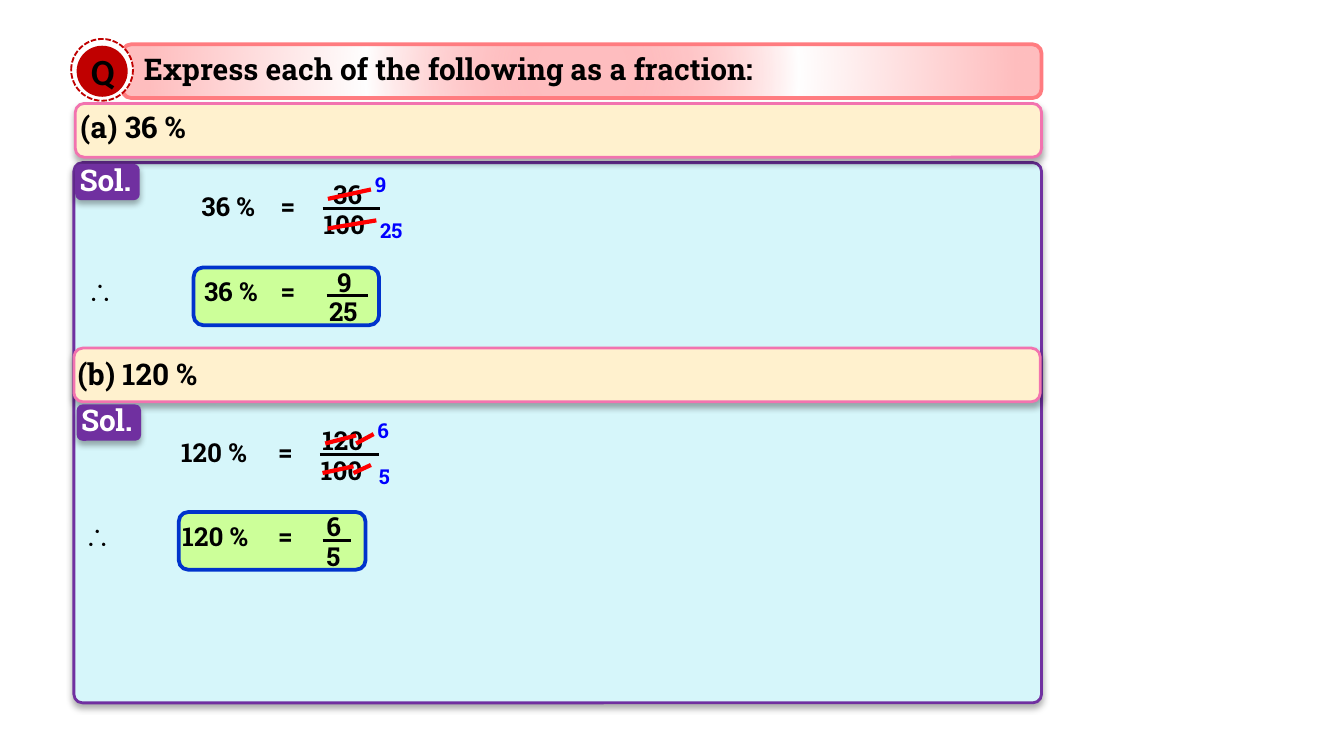
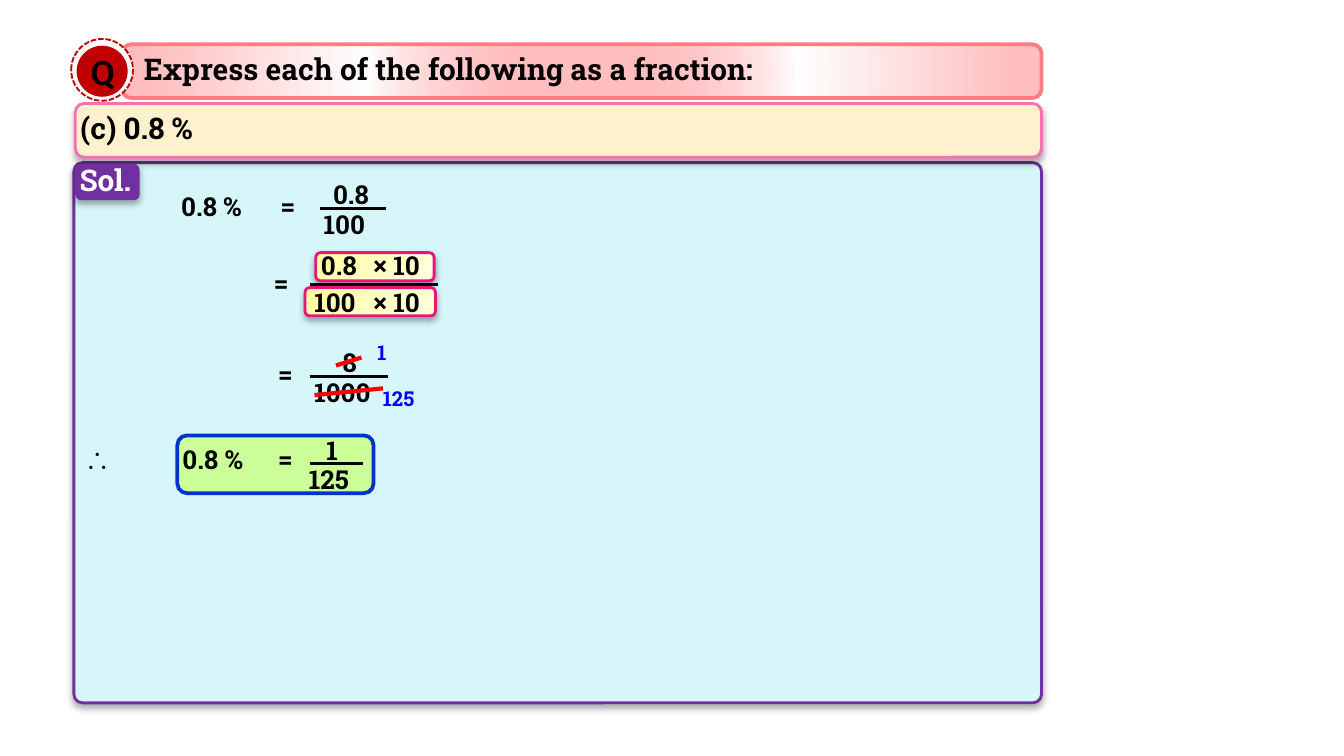
import pptx
import pptx.dml.color
import pptx.enum.dml
import pptx.enum.shapes
import pptx.enum.text
import pptx.oxml
import pptx.util

SHAPES = pptx.enum.shapes.MSO_SHAPE
ALIGN = pptx.enum.text.PP_ALIGN
ANCHOR = pptx.enum.text.MSO_ANCHOR
DRAWING_NS = 'xmlns:a="http://schemas.openxmlformats.org/drawingml/2006/main"'

SLIDE_WIDTH = 10
SLIDE_HEIGHT = SLIDE_WIDTH * 9 / 16

FONT, SYMBOL_FONT = "Roboto Slab", "Arial"
BLACK, WHITE, RED, BLUE = "000000", "FFFFFF", "FF0000", "0000FF"
PURPLE, CRIMSON, CORAL = "7030A0", "C00000", "FF7C80"
PANEL, CREAM, PINK, MAGENTA = "D6F6FA", "FFF1CE", "F273AF", "EA157A"
GREEN, ROYAL = "CCFF99", "0033CC"

# Gradient stops: position, colour, opacity (all in percent)
TITLE_STOPS = [(10, CORAL, 50), (47, WHITE, 100), (94, "FFBEBF", 100)]
TITLE_DIRECTION = ('<a:path path="circle"><a:fillToRect l="50000" t="50000" '
                   'r="50000" b="50000"/></a:path>')
FACTOR_STOPS = [(0, "FFFF9A", 100), (50, "FFFFC2", 100), (100, "FFFFE1", 100)]
FACTOR_DIRECTION = '<a:lin ang="2700000" scaled="0"/>'

TITLE = "Express each of the following as a fraction:"

# Each step hangs on the height of its fraction bar, "y".
# Texts are (text, left); strikes are (x1, y1, x2, y2); boxes are (left, width).
SLIDES = [
    [
        dict(label=("(a) 36 %", 0.5, 0.76), strip=(0.56, 0.77), badge=(0.56, 1.22), steps=[
            dict(y=1.55, bar=(2.4, 2.83), equals=1.99, value=("36 %", 1.4),
                 top=[("36", 2.38)], bottom=[("100", 2.31)],
                 reduced=[("9", 2.69), ("25", 2.73)],
                 strikes=[(2.44, 1.48, 2.76, 1.41), (2.44, 1.7, 2.8, 1.64)]),
            dict(y=2.2, bar=(2.43, 2.74), equals=1.99, value=("36 %", 1.42),
                 top=[("9", 2.41)], bottom=[("25", 2.35)],
                 answer=(1.44, 1.38), therefore=0.55),
        ]),
        dict(label=("(b) 120 %", 0.48, 2.6), strip=(0.55, 2.59), badge=(0.57, 3.01), steps=[
            dict(y=3.38, bar=(2.38, 2.82), equals=1.97, value=("120 %", 1.25),
                 top=[("120", 2.3)], bottom=[("100", 2.29)],
                 reduced=[("6", 2.71), ("5", 2.72)],
                 strikes=[(2.4, 3.52, 2.63, 3.47), (2.42, 3.3, 2.65, 3.24),
                          (2.63, 3.52, 2.76, 3.46), (2.65, 3.3, 2.78, 3.23)]),
            dict(y=4.02, bar=(2.4, 2.61), equals=1.97, value=("120 %", 1.26),
                 top=[("6", 2.33)], bottom=[("5", 2.33)],
                 answer=(1.33, 1.39), therefore=0.53),
        ]),
    ],
    [
        dict(label=("(c) 0.8 %", 0.5, 0.77), strip=(0.56, 0.77), badge=(0.56, 1.22), steps=[
            dict(y=1.55, bar=(2.38, 2.87), equals=1.99, value=("0.8 %", 1.25),
                 top=[("0.8", 2.38)], bottom=[("100", 2.31)]),
            dict(y=2.12, bar=(2.31, 3.26), equals=1.94,
                 top=[("0.8", 2.29), ("× 10", 2.68)],
                 bottom=[("100", 2.24), ("× 10", 2.68)],
                 factors=[(2.35, 0.88), (2.27, 0.97)]),
            dict(y=2.8, bar=(2.31, 2.89), equals=1.97,
                 top=[("8", 2.45)], bottom=[("1000", 2.24)],
                 reduced=[("1", 2.71), ("125", 2.75)],
                 strikes=[(2.34, 2.94, 2.85, 2.89), (2.5, 2.72, 2.69, 2.66)]),
            dict(y=3.45, bar=(2.31, 2.7), equals=1.97, value=("0.8 %", 1.26),
                 top=[("1", 2.33)], bottom=[("125", 2.2)],
                 answer=(1.32, 1.46), therefore=0.53),
        ]),
    ],
]


def inches(*lengths):
    return [pptx.util.Inches(length) for length in lengths]


def rgb(colour):
    return pptx.dml.color.RGBColor.from_string(colour)


def write(shape, text, size=14, font=FONT, colour=BLACK, align=ALIGN.LEFT,
          anchor=ANCHOR.TOP, wrap=True):
    frame = shape.text_frame
    frame.auto_size = pptx.enum.text.MSO_AUTO_SIZE.NONE
    frame.word_wrap = wrap
    frame.vertical_anchor = anchor
    paragraph = frame.paragraphs[0]
    paragraph.text = text
    paragraph.alignment = align
    paragraph.font.name = font
    paragraph.font.size = pptx.util.Pt(size)
    paragraph.font.bold = True
    paragraph.font.color.rgb = rgb(colour)


def add_text(slide, text, left, top, size=14, **text_format):
    """Add a text box just large enough for one line of the given size."""
    width = 0.22 + 0.0094 * size * len(text)
    height = 0.1 + 0.017 * size
    box = slide.shapes.add_textbox(*inches(left, top, width, height))
    write(box, text, size=size, **text_format)


def add_box(slide, left, top, width, height, fill=None, line=None, weight=1.5,
            kind=SHAPES.ROUNDED_RECTANGLE, shadow=False):
    shape = slide.shapes.add_shape(kind, *inches(left, top, width, height))
    shape.shadow.inherit = False
    if fill:
        shape.fill.solid()
        shape.fill.fore_color.rgb = rgb(fill)
    else:
        shape.fill.background()
    if line:
        shape.line.color.rgb = rgb(line)
        shape.line.width = pptx.util.Pt(weight)
    else:
        shape.line.fill.background()
    if shadow:
        effects = shape.element.spPr.find(pptx.oxml.ns.qn("a:effectLst"))
        effects.append(pptx.oxml.parse_xml(
            f'<a:outerShdw {DRAWING_NS} blurRad="44450" dist="27940" dir="5400000">'
            '<a:srgbClr val="000000"><a:alpha val="32000"/></a:srgbClr></a:outerShdw>'))
    return shape


def set_gradient(shape, stops, direction):
    """Replace the empty fill of a shape by a gradient."""
    stop_list = "".join(
        f'<a:gs pos="{position * 1000}"><a:srgbClr val="{colour}">'
        f'<a:alpha val="{opacity * 1000}"/></a:srgbClr></a:gs>'
        for position, colour, opacity in stops)
    properties = shape.element.spPr
    properties.replace(
        properties.find(pptx.oxml.ns.qn("a:noFill")),
        pptx.oxml.parse_xml(f'<a:gradFill {DRAWING_NS} rotWithShape="1">'
                            f'<a:gsLst>{stop_list}</a:gsLst>{direction}</a:gradFill>'))


def add_line(slide, x1, y1, x2, y2, colour=BLACK, weight=1.5):
    line = slide.shapes.add_connector(
        pptx.enum.shapes.MSO_CONNECTOR.STRAIGHT, *inches(x1, y1, x2, y2))
    line.line.color.rgb = rgb(colour)
    line.line.width = pptx.util.Pt(weight)
    line.element.spPr.append(pptx.oxml.parse_xml(f"<a:effectLst {DRAWING_NS}/>"))


def add_heading(slide):
    band = add_box(slide, 0.91, 0.33, 6.84, 0.4, line=CORAL, weight=2)
    set_gradient(band, TITLE_STOPS, TITLE_DIRECTION)
    ring = add_box(slide, 0.53, 0.29, 0.46, 0.46, WHITE, CRIMSON, 1, kind=SHAPES.OVAL)
    ring.line.dash_style = pptx.enum.dml.MSO_LINE.SQUARE_DOT
    add_box(slide, 0.57, 0.34, 0.38, 0.38, CRIMSON, kind=SHAPES.OVAL)
    add_text(slide, "Q", 0.57, 0.33, size=18, align=ALIGN.CENTER, anchor=ANCHOR.MIDDLE)

    title = slide.shapes.title
    title.left, title.top, title.width, title.height = inches(0.97, 0.33, 5.55, 0.37)
    write(title, TITLE, size=16)
    title.element.getparent().append(title.element)  # in front of the band


def add_part_header(slide, part):
    add_box(slide, *part["strip"], 7.19, 0.4, CREAM, PINK, shadow=True)
    add_text(slide, *part["label"], size=16)

    badge = add_box(slide, *part["badge"], 0.48, 0.27, PURPLE, shadow=True)
    frame = badge.text_frame
    frame.margin_left = frame.margin_top = 0
    frame.margin_right, frame.margin_bottom = inches(0.03, 0.04)
    write(badge, "Sol.", size=16, colour=WHITE, align=ALIGN.CENTER,
          anchor=ANCHOR.MIDDLE, wrap=False)


def add_step(slide, step):
    y = step["y"]
    is_answer = "answer" in step
    middle = y - (0.2 if is_answer else 0.18)
    if is_answer:
        left, width = step["answer"]
        add_box(slide, left, y - 0.21, width, 0.43, GREEN, ROYAL, 2)
        add_text(slide, "∴", step["therefore"], middle, font=SYMBOL_FONT)
    if "value" in step:
        add_text(slide, *step["value"], middle)
    add_text(slide, "=", step["equals"], middle)

    start, end = step["bar"]
    add_line(slide, start, y, end, y)
    factors = step.get("factors", [])
    for (left, width), offset in zip(factors, (-0.24, 0.02)):
        box = add_box(slide, left, y + offset, width, 0.21, line=MAGENTA, shadow=True)
        set_gradient(box, FACTOR_STOPS, FACTOR_DIRECTION)
    for text, left in step["top"]:
        add_text(slide, text, left, y - (0.31 if factors else 0.27))
    for text, left in step["bottom"]:
        add_text(slide, text, left, y - (0.04 if factors else 0.05))
    for (text, left), offset in zip(step.get("reduced", []), (-0.32, 0.02)):
        add_text(slide, text, left, y + offset, size=11, colour=BLUE)
    for strike in step.get("strikes", []):
        add_line(slide, *strike, colour=RED, weight=2.25)


def main():
    presentation = pptx.Presentation()
    presentation.slide_width, presentation.slide_height = inches(SLIDE_WIDTH, SLIDE_HEIGHT)
    title_only = presentation.slide_layouts[5]
    for parts in SLIDES:
        slide = presentation.slides.add_slide(title_only)
        panel = add_box(slide, 0.55, 1.21, 7.2, 4.02, PANEL, PURPLE, shadow=True)
        panel.adjustments[0] = 0.016
        add_heading(slide)
        for part in parts:
            add_part_header(slide, part)
            for step in part["steps"]:
                add_step(slide, step)
    presentation.save("out.pptx")


if __name__ == "__main__":
    main()
